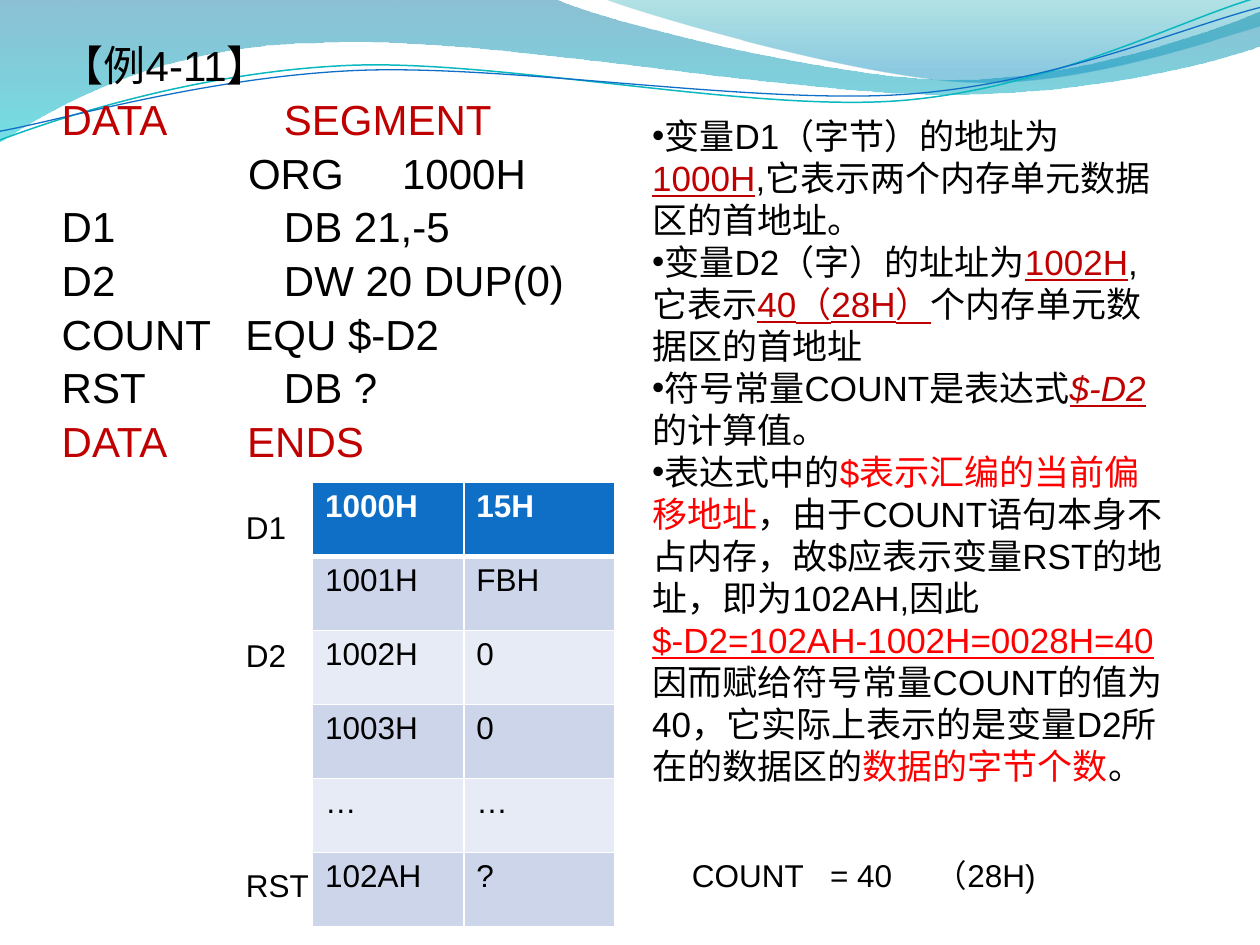
"""Build the slide on example 4-11: a data segment, its memory table and notes."""
import pptx
import pptx.dml.color
import pptx.oxml.ns
import pptx.util
from lxml import etree

Pt = pptx.util.Pt
RGBColor = pptx.dml.color.RGBColor
qn = pptx.oxml.ns.qn

BLACK = RGBColor(0x00, 0x00, 0x00)
WHITE = RGBColor(0xFF, 0xFF, 0xFF)
DARK_RED = RGBColor(0xC0, 0x00, 0x00)
RED = RGBColor(0xFF, 0x00, 0x00)
BLUE = RGBColor(0x0F, 0x6F, 0xC6)
TEAL = RGBColor(0x0A, 0xB8, 0xBF)
BANDS = [RGBColor(0xE7, 0xEB, 0xF5), RGBColor(0xCC, 0xD5, 0xEA)]
DEEP_BLUE = RGBColor(0x00, 0x74, 0xA1)
AQUA = RGBColor(0x00, 0xC6, 0xCF)
SEA = RGBColor(0x00, 0xA1, 0xA9)
SKY = RGBColor(0x00, 0x8B, 0xBF)

WAVES = [
    {"start": (0, -0.7), "closed": True,
     "parts": [(317, -0.7), (343, 12, 478, 45.4, 546, 45.4), (614, 45.4, 690, 19, 720, 6.5),
               (720.7, 26), (708, 32, 626, 55, 537, 54), (448, 54, 275, 20, 185, 24.5),
               (93, 25, 33, 60, -0.7, 81.4)],
     "stops": [(0, DEEP_BLUE, 45), (1, AQUA, 55)]},
    {"start": (345, -0.7), "closed": True,
     "parts": [(366.5, 8, 491, 44.6, 554, 47), (616, 49.7, 692, 23, 720, 15), (720, 0)],
     "stops": [(0, SEA, 30), (0.8, SKY, 45)]},
    {"start": (0, 80), "closed": False,
     "parts": [(34.6, 67, 114, 41, 199.4, 37.4), (284.4, 33.8, 427, 64, 513.4, 57.6),
               (600, 51, 675.4, 10.8, 718.6, -1.4)],
     "line": (TEAL, 0.85)},
    {"start": (0, 75), "closed": False,
     "parts": [(33.8, 69, 118, 44, 203.8, 40.3), (290, 36.7, 430, 59.8, 516.2, 54),
               (602, 48.2, 677.5, 15, 720, 4.3)],
     "line": (BLUE, 0.75)},
]

CODE = [
    ("【例4-11】", [], BLACK),
    ("DATA\tSEGMENT", [127], DARK_RED),
    ("\tORG\t1000H", [106.5, 194.5], BLACK),
    ("D1\tDB 21,-5", [127], BLACK),
    ("D2\tDW 20 DUP(0)", [127], BLACK),
    ("COUNT\tEQU $-D2", [105], BLACK),
    ("RST\tDB ?", [127], BLACK),
    ("DATA\tENDS", [106], DARK_RED),
]

PLAIN = {"color": BLACK}
MARKED = {"color": DARK_RED, "underline": True}
SLANTED = {"color": DARK_RED, "underline": True, "italic": True}
BRIGHT = {"color": RED}
RESULT = {"color": RED, "underline": True}
NOTES = [
    (True, [("变量D1（字节）的地址为", PLAIN), ("1000H", MARKED),
            (",它表示两个内存单元数据区的首地址。", PLAIN)]),
    (True, [("变量D2（字）的址址为", PLAIN), ("1002H", MARKED), (",它表示", PLAIN),
            ("40（28H）", MARKED), ("个内存单元数据区的首地址", PLAIN)]),
    (True, [("符号常量COUNT是表达式", PLAIN), ("$-D2", SLANTED), ("的计算值。", PLAIN)]),
    (True, [("表达式中的", PLAIN), ("$表示汇编的当前偏移地址", BRIGHT),
            ("，由于COUNT语句本身不占内存，故$应表示变量RST的地址，即为102AH,因此", PLAIN)]),
    (False, [("$-D2=102AH-1002H=0028H=40", RESULT)]),
    (False, [("因而赋给符号常量COUNT的值为40，它实际上表示的是变量D2所在的数据区的", PLAIN),
             ("数据的字节个数", BRIGHT), ("。", PLAIN)]),
]

MEMORY = [("1000H", "15H"), ("1001H", "FBH"), ("1002H", "0"),
          ("1003H", "0"), ("…", "…"), ("102AH", "?")]
COLUMN_WIDTH, ROW_HEIGHT = 86.4, 42.3

LABELS = [
    ("COUNT\t= 40\t（28H)", [79, 139.5], (388.3, 485.7, 244, 29)),
    ("D1", [], (133.4, 287, 45.4, 29)),
    ("D2", [], (133.4, 360, 45.4, 29)),
    ("RST", [], (133.4, 491.3, 62.6, 29)),
]


def apply(target, values):
    for name, value in values.items():
        if name == "color":
            target.color.rgb = value
        else:
            setattr(target, name, value)


def add_span(para, text, size, values):
    span = para.add_run()
    span.text = text
    apply(span.font, {"name": "Arial", "size": Pt(size), **values})


def add_box(page, place):
    box = page.shapes.add_textbox(*map(Pt, place))
    box.text_frame.word_wrap = True
    return box.text_frame


def next_para(frame, index):
    return frame.add_paragraph() if index else frame.paragraphs[0]


def add_tabs(para, stops):
    if stops:
        tabs = etree.SubElement(para._p.get_or_add_pPr(), qn("a:tabLst"))
        for stop in stops:
            etree.SubElement(tabs, qn("a:tab"), pos=str(Pt(stop)), algn="l")


def bend(shape, parts):
    segments = iter(list(shape._element.iter(qn("a:lnTo"))))
    for part in parts:
        first = next(segments)
        if len(part) == 6:
            curve = etree.Element(qn("a:cubicBezTo"))
            first.addprevious(curve)
            for segment in (first, next(segments), next(segments)):
                curve.append(segment[0])
                segment.getparent().remove(segment)


def add_wave(page, wave):
    start, parts = wave["start"], wave["parts"]
    points = [(Pt(x), Pt(y)) for part in [start, *parts]
              for x, y in zip(part[::2], part[1::2])]
    builder = page.shapes.build_freeform(*points[0])
    builder.add_line_segments(points[1:], close=wave["closed"])
    shape = builder.convert_to_shape()
    bend(shape, parts)
    shape.shadow.inherit = False
    if "line" in wave:
        shape.fill.background()
        color, width = wave["line"]
        shape.line.color.rgb = color
        shape.line.width = Pt(width)
        return
    shape.line.fill.background()
    shape.fill.gradient()
    shape.fill.gradient_angle = 270
    for stop, (position, color, opacity) in zip(shape.fill.gradient_stops, wave["stops"]):
        stop.position = position
        stop.color.rgb = color
        tint = stop._gs.find(qn("a:srgbClr"))
        etree.SubElement(tint, qn("a:alpha"), val=str(opacity * 1000))


def add_code(page):
    frame = add_box(page, (28.2, 22.3, 352, 276))
    for index, (text, stops, color) in enumerate(CODE):
        para = next_para(frame, index)
        add_tabs(para, stops)
        apply(para, {"line_spacing": 0.9, "space_before": Pt(4.8 if index else 0)})
        add_span(para, text, 24, {"color": color})


def add_notes(page):
    frame = add_box(page, (365.6, 62, 309.6, 419))
    for index, (bulleted, spans) in enumerate(NOTES):
        para = next_para(frame, index)
        if bulleted:
            layout = para._p.get_or_add_pPr()
            etree.SubElement(layout, qn("a:buFont"), typeface="Arial")
            etree.SubElement(layout, qn("a:buChar"), char="•")
        for text, values in spans:
            add_span(para, text, 20, values)


def add_borders(cell, widths):
    layout = cell._tc.get_or_add_tcPr()
    for index, (side, width) in enumerate(widths.items()):
        line = etree.Element(qn(f"a:ln{side}"), w=str(Pt(width)))
        fill = etree.SubElement(line, qn("a:solidFill"))
        etree.SubElement(fill, qn("a:srgbClr"), val=str(WHITE))
        layout.insert(index, line)


def add_memory(page):
    rows, columns = len(MEMORY), len(MEMORY[0])
    table = page.shapes.add_table(rows, columns, Pt(178.6), Pt(275.8),
                                  Pt(columns * COLUMN_WIDTH), Pt(rows * ROW_HEIGHT)).table
    for column in table.columns:
        column.width = Pt(COLUMN_WIDTH)
    for index, values in enumerate(MEMORY):
        table.rows[index].height = Pt(ROW_HEIGHT)
        head = index == 0
        for cell, text in zip(table.rows[index].cells, values):
            cell.fill.solid()
            cell.fill.fore_color.rgb = BLUE if head else BANDS[index % 2]
            add_borders(cell, {"L": 1, "R": 1, "T": 3 if index == 1 else 1, "B": 3 if head else 1})
            add_span(cell.text_frame.paragraphs[0], text, 18,
                     {"color": WHITE if head else BLACK, "bold": head})


def main():
    deck = pptx.Presentation()
    deck.slide_width, deck.slide_height = Pt(720), Pt(540)
    page = deck.slides.add_slide(deck.slide_layouts[6])
    for wave in WAVES:
        add_wave(page, wave)
    add_code(page)
    add_notes(page)
    add_memory(page)
    for text, stops, place in LABELS:
        para = add_box(page, place).paragraphs[0]
        add_tabs(para, stops)
        add_span(para, text, 18, PLAIN)
    deck.save("out.pptx")


if __name__ == "__main__":
    main()
